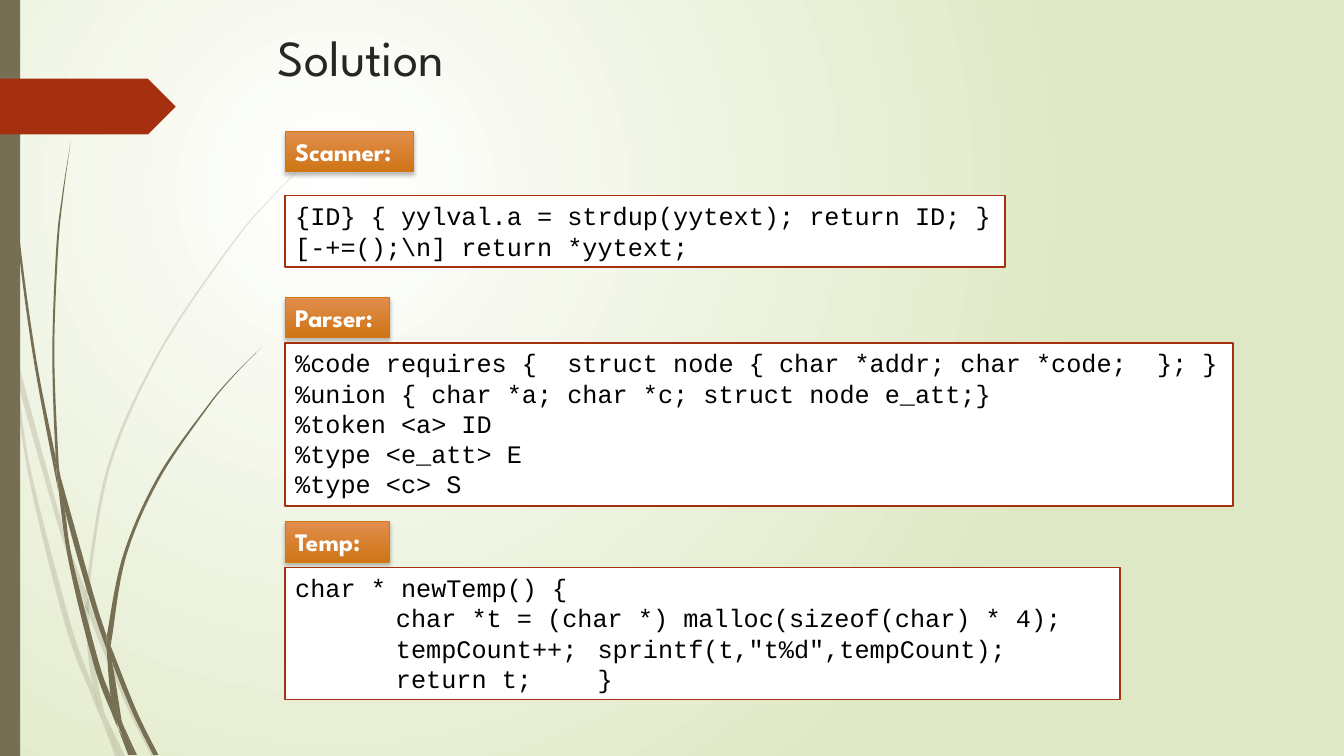
from lxml.etree import SubElement
from pptx import Presentation
from pptx.dml.color import RGBColor
from pptx.enum.shapes import MSO_SHAPE
from pptx.enum.text import MSO_ANCHOR, MSO_AUTO_SIZE, PP_ALIGN
from pptx.oxml.ns import qn
from pptx.util import Cm, Pt

HEAD_FONT, CODE_FONT = "League Spartan", "Courier New"
STEM, RED, WHITE = "766F54", "A53010", "FFFFFF"
LEFT, LABEL_HEIGHT = 7.19, 1.02

# Pieces of grass: the two curved edges of each, in cm.
PALE_GRASS = [
    ([(0, 7.16), (.23, 8.18), (.28, 8.89)], [(.25, 8.74), (0, 7.59)]),
    ([(.36, 8.76), (.43, 9.55), (1.47, 13.26), (2.13, 15.21)], [(2.16, 14.88), (1.57, 13.21), (.36, 8.76)]),
    ([(2.24, 15.14), (2.24, 15.49), (3.12, 17.63), (3.81, 19.05)],
     [(3.94, 19.05), (3.23, 17.58), (2.34, 15.42), (2.24, 15.14)]),
    ([(2.67, 18.06), (3.02, 19.05)], [(3.15, 19.05), (2.67, 18.06)]),
    ([(.28, 8.89), (.71, 11.94), (1.65, 15.77), (2.34, 17.6), (2.57, 18.14)],
     [(2.51, 17.96), (2.36, 17.35), (1.78, 15.72), (.79, 11.91), (.43, 9.55), (.28, 8.89)]),
    ([(2.13, 15.21), (2.21, 16.41), (2.36, 17.35), (2.67, 18.06)],
     [(2.62, 17.93), (2.31, 16.41), (2.24, 15.49), (2.13, 15.21)]),
    ([(2.24, 15.14), (2.24, 14.83), (2.79, 11.73), (4.06, 8.86), (5.82, 6.22), (6.81, 5.03), (7.92, 3.91)],
     [(7.92, 3.89), (6.81, 5), (5.79, 6.2), (4.01, 8.84), (2.72, 11.71), (2.16, 14.83), (2.16, 14.88)]),
    ([(2.57, 18.14), (2.9, 19.05)], [(3.02, 19.05), (2.57, 18.14)]),
    ([(2.16, 14.88), (2.13, 15.21), (2.24, 15.49)], [(2.24, 15.14), (2.16, 14.88)]),
    ([(2.36, 17.35), (2.51, 17.96), (2.57, 18.14), (3.02, 19.05)], [(2.67, 18.06), (2.44, 17.58), (2.36, 17.35)]),
]
DARK_GRASS = [
    ([(.08, 0), (.1, 1.22), (.18, 2.79), (.43, 5.92), (.84, 9.02), (1.42, 12.12), (1.45, 12.22)],
     [(1.4, 11.61), (1.4, 11.51), (.91, 9.02), (.48, 5.89), (.2, 2.77), (.13, 1.22), (.1, 0)]),
    ([(1.52, 11.99), (1.63, 12.83), (2.24, 15.04), (2.69, 16.38)], [(2.69, 16.03), (2.36, 14.99), (1.52, 11.99)]),
    ([(2.79, 16.28), (2.82, 16.66), (3.35, 17.98), (3.86, 19.02)],
     [(3.99, 19.02), (3.45, 17.93), (2.87, 16.48), (2.79, 16.28)]),
    ([(1.45, 12.12), (1.73, 14.15), (2.36, 16.74), (2.82, 17.98), (2.97, 18.34)],
     [(2.95, 18.21), (2.79, 17.55), (2.49, 16.69), (1.83, 14.12), (1.63, 12.83), (1.45, 12.12)]),
    ([(1.52, 11.99), (1.47, 11.51), (1.37, 8.86), (1.47, 6.22), (1.6, 4.9), (1.78, 3.58)],
     [(1.78, 3.58), (1.57, 4.9), (1.42, 6.22), (1.32, 8.86), (1.4, 11.4), (1.52, 11.99)]),
    ([(3.1, 18.26), (3.38, 19.02)], [(3.45, 19.02), (3.1, 18.26)]),
    ([(1.4, 11.4), (1.45, 12.12), (1.63, 12.83)], [(1.52, 11.99), (1.4, 11.4)]),
    ([(2.79, 16.28), (2.82, 16.08), (3.18, 14.02), (4.01, 12.09), (5.21, 10.31), (5.87, 9.5), (6.6, 8.74)],
     [(6.6, 8.74), (5.87, 9.47), (5.18, 10.29), (3.96, 12.04), (3.1, 14), (2.69, 16.03)]),
    ([(2.97, 18.34), (3.23, 19.02)], [(3.33, 19.02), (2.97, 18.34)]),
    ([(2.69, 16.38), (2.79, 17.55), (2.95, 17.93), (3.1, 18.26)], [(3.07, 18.19), (2.82, 16.66), (2.69, 16.38)]),
    ([(2.69, 16.03), (2.69, 16.38), (2.82, 16.66)], [(2.79, 16.28), (2.69, 16.03)]),
    ([(2.79, 17.55), (2.95, 18.21), (3.3, 19.02)], [(3.38, 19.02), (3.1, 18.26), (2.95, 17.93), (2.79, 17.55)]),
]

SCANNER = r"""{ID} { yylval.a = strdup(yytext); return ID; }
[-+=();\n] return *yytext;"""
PARSER = """%code requires {  struct node { char *addr; char *code;  }; }
%union { char *a; char *c; struct node e_att;}
%token <a> ID
%type <e_att> E
%type <c> S"""
TEMP = """char * newTemp() {
\tchar *t = (char *) malloc(sizeof(char) * 4);\t
\ttempCount++;\tsprintf(t,"t%d",tempCount);
\treturn t;\t}"""

# Label, label top and width, code, code top, width and height.
SECTIONS = [
    ("Scanner:", 3.31, 3.23, SCANNER, 4.93, 18.14, 1.8),
    ("Parser:", 7.49, 2.63, PARSER, 8.64, 23.88, 4.11),
    ("Temp:", 13.15, 2.63, TEMP, 14.3, 21.03, 3.33),
]


def rgb(code):
    """Return the colour for a hex string."""
    return RGBColor.from_string(code)


def set_gradient(fill, start, end):
    """Give a fill a two-colour gradient."""
    fill.gradient()
    for stop, code in zip(fill.gradient_stops, (start, end)):
        stop.color.rgb = rgb(code)


def set_background(s):
    """Fill the slide with a circular gradient."""
    set_gradient(s.background.fill, WHITE, "DFE8C4")
    grad = next(s.element.iter(qn("a:gradFill")))
    grad.remove(grad.find(qn("a:lin")))
    circle = SubElement(grad, qn("a:path"))
    circle.set("path", "circle")
    SubElement(circle, qn("a:fillToRect"), l="50000", t="50000", r="100000", b="100000")


def paint(sp, fill, line=None, width=1):
    """Set a plain fill and an optional line, without shadow."""
    sp.shadow.inherit = False
    sp.fill.solid()
    sp.fill.fore_color.rgb = rgb(fill)
    if line:
        sp.line.color.rgb = rgb(line)
        sp.line.width = Pt(width)
    else:
        sp.line.fill.background()


def bend(segments, edge):
    """Turn the straight segments along an edge into smooth curves."""
    ends = [edge[0], *edge, edge[-1]]
    for segment, a, b, c, d in zip(segments, ends, ends[1:], ends[2:], ends[3:]):
        segment.tag = qn("a:cubicBezTo")
        for i, (knot, before, after) in enumerate(((b, a, c), (c, d, b))):
            x, y = (round(k + (n - m) / 6) for k, m, n in zip(knot, before, after))
            segment.insert(i, SubElement(segment, qn("a:pt"), x=str(x), y=str(y)))


def add_grass(s, pieces, opacity):
    """Draw a group of curved pieces of grass."""
    group = s.shapes.add_group_shape()
    for piece in pieces:
        first, second = ([(Cm(x), Cm(y)) for x, y in edge] for edge in piece)
        builder = group.shapes.build_freeform(*first[0], scale=1.0)
        builder.add_line_segments(first[1:] + second, close=True)
        sp = builder.convert_to_shape()
        segments = list(sp.element.iter(qn("a:lnTo")))
        first, second = ([(x - sp.left, y - sp.top) for x, y in edge] for edge in (first, second))
        bend(segments[:len(first) - 1], first)
        bend(segments[len(first):], second)
        paint(sp, STEM)
        color = next(sp.element.spPr.iter(qn("a:srgbClr")))
        SubElement(color, qn("a:alpha"), val=str(opacity * 1000))


def add_box(s, x, y, w, h, kind=MSO_SHAPE.RECTANGLE):
    """Add a preset shape with its place given in cm."""
    return s.shapes.add_shape(kind, Cm(x), Cm(y), Cm(w), Cm(h))


def set_text(sp, text, font, size, color, bold=False):
    """Write left-aligned text with one-inch tabs from the top of a shape."""
    tf = sp.text_frame
    tf.text = text
    tf.vertical_anchor = MSO_ANCHOR.TOP
    for p in tf.paragraphs:
        p.alignment = PP_ALIGN.LEFT
        p._p.get_or_add_pPr().set("defTabSz", str(Cm(2.54)))
        for r in p.runs:
            r.font.name, r.font.size, r.font.bold = font, Pt(size), bold
            r.font.color.rgb = rgb(color)


def add_label(s, text, y, w):
    """Add an orange section label with a soft shadow."""
    sp = add_box(s, LEFT, y, w, LABEL_HEIGHT)
    paint(sp, "E18D4C", "D47817", 0.75)
    set_gradient(sp.fill, "E18D4C", "CF7516")
    sp.fill.gradient_angle = 270
    shadow = SubElement(next(sp.element.iter(qn("a:effectLst"))), qn("a:outerShdw"),
                        blurRad=str(Pt(3)), dist=str(Pt(2)), dir="5400000", rotWithShape="0")
    color = SubElement(shadow, qn("a:srgbClr"), val="000000")
    SubElement(color, qn("a:alpha"), val="25000")
    set_text(sp, text, HEAD_FONT, 18, WHITE, bold=True)


def add_code(s, text, y, w, h):
    """Add a framed code listing."""
    sp = add_box(s, LEFT, y, w, h)
    paint(sp, WHITE, RED, 1.25)
    set_text(sp, text, CODE_FONT, 18, "000000")
    sp.text_frame.word_wrap = False
    sp.text_frame.auto_size = MSO_AUTO_SIZE.SHAPE_TO_FIT_TEXT


def main():
    """Build the slide and save it."""
    prs = Presentation()
    prs.slide_width, prs.slide_height = Cm(33.87), Cm(19.05)
    s = prs.slides.add_slide(prs.slide_layouts[5])
    set_background(s)
    add_grass(s, PALE_GRASS, 20)
    add_grass(s, DARK_GRASS, 100)
    paint(add_box(s, 0, 0, 0.51, 19.05), STEM)
    tag = add_box(s, 0, 1.98, 4.43, 1.41, MSO_SHAPE.PENTAGON)
    paint(tag, RED)
    title = s.shapes.title
    title.left, title.top, title.width, title.height = Cm(6.75), Cm(0.53), Cm(24.77), Cm(3.56)
    set_text(title, "Solution", HEAD_FONT, 36, "262626")
    for label, label_top, label_width, code, top, width, height in SECTIONS:
        add_label(s, label, label_top, label_width)
        add_code(s, code, top, width, height)
    prs.save("out.pptx")


main()
